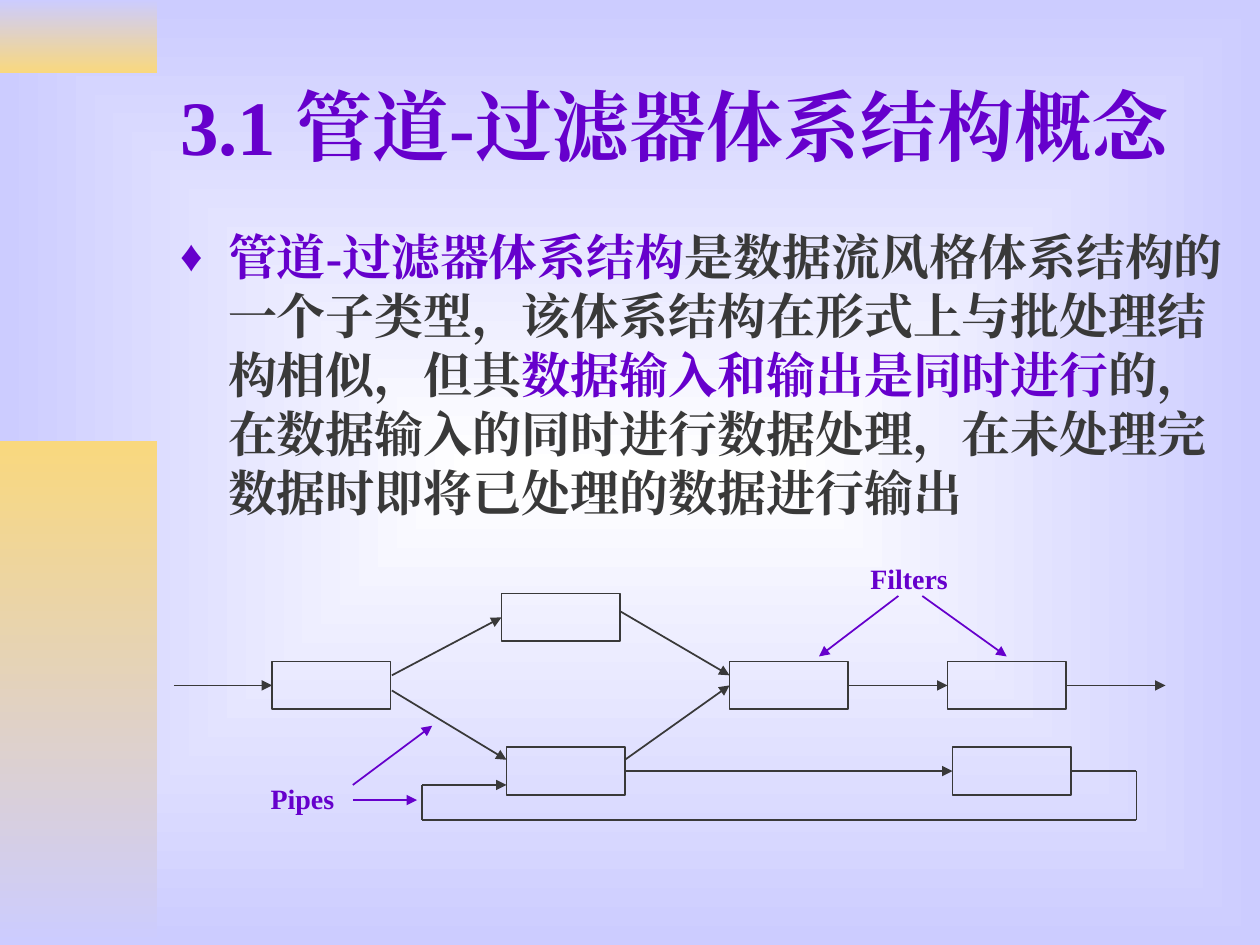
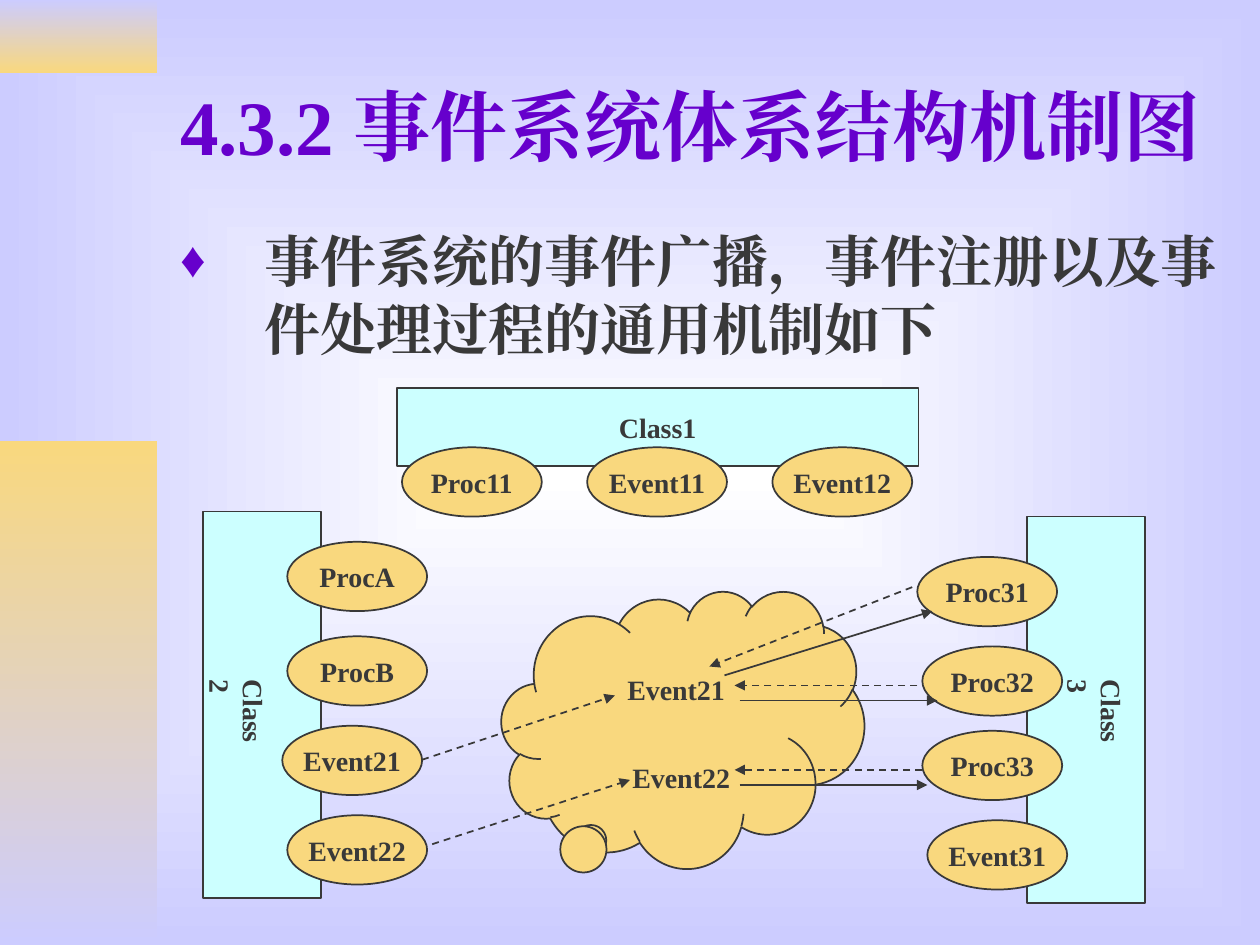
from pptx import Presentation
from pptx.dml.color import RGBColor
from pptx.enum.dml import MSO_LINE
from pptx.enum.lang import MSO_LANGUAGE_ID
from pptx.enum.shapes import MSO_CONNECTOR, MSO_SHAPE
from pptx.enum.text import MSO_ANCHOR, MSO_AUTO_SIZE, PP_ALIGN
from pptx.oxml import parse_xml
from pptx.oxml.ns import nsdecls, qn
from pptx.util import Inches, Pt

PURPLE = RGBColor(0x66, 0x00, 0xCC)
INK = RGBColor(0x39, 0x39, 0x39)
GOLD = RGBColor(0xF9, 0xD8, 0x7E)
LAVENDER = RGBColor(0xCC, 0xCC, 0xFF)
CYAN = RGBColor(0xCC, 0xFF, 0xFF)
WHITE = RGBColor(0xFF, 0xFF, 0xFF)

RECT, OVAL, CLOUD = MSO_SHAPE.RECTANGLE, MSO_SHAPE.OVAL, MSO_SHAPE.CLOUD_CALLOUT
STRAIGHT, DASH = MSO_CONNECTOR.STRAIGHT, MSO_LINE.DASH
LEFT, CENTER = PP_ALIGN.LEFT, PP_ALIGN.CENTER
TOP, MIDDLE = MSO_ANCHOR.TOP, MSO_ANCHOR.MIDDLE
FIXED, GROW = MSO_AUTO_SIZE.NONE, MSO_AUTO_SIZE.SHAPE_TO_FIT_TEXT
CHINESE = MSO_LANGUAGE_ID.SIMPLIFIED_CHINESE

FONT = "Times New Roman"
LABEL_SIZE = 16
LEFT_SITE, RIGHT_SITE = 1, 3
BOX_W, BOX_H = 0.94, 0.38
NODE_W, NODE_H = 1.11, 0.55
CLASS_W, CLASS_H = 0.94, 3.07


class Deck:
    """Holds the shared style and the current slide, and draws each kind of element."""

    def __init__(self):
        self.prs = Presentation()
        self.prs.slide_width, self.prs.slide_height = Inches(10), Inches(7.5)
        self.slide = None

    def gradient(self, fill, first, last):
        fill.gradient()
        for stop, color, position in zip(fill.gradient_stops, (first, last), (0, 1)):
            stop.color.rgb = color
            stop.position = position

    def dress_master(self):
        master = self.prs.slide_master
        self.gradient(master.background.fill, WHITE, LAVENDER)
        direction = next(master.element.iter(qn("a:lin")))
        direction.getparent().replace(direction, parse_xml(
            f'<a:path {nsdecls("a")} path="rect"><a:fillToRect l="50000" t="50000" '
            'r="50000" b="50000"/></a:path>'))
        for top, height, first, last in ((0, 0.58, LAVENDER, GOLD), (3.5, 4, GOLD, LAVENDER)):
            band = self.shape(RECT, 0, top, 1.25, height)
            self.gradient(band.fill, first, last)
            band.fill.gradient_angle = 270
            band.line.fill.background()
            master.shapes.element.insert(2, band.element)

    def new_slide(self):
        self.slide = self.prs.slides.add_slide(self.prs.slide_layouts[1])
        if len(self.prs.slides) == 1:
            self.dress_master()

    def add_text(self, paragraph, text, size, color):
        run = paragraph.add_run()
        run.text = text
        style = {"name": FONT, "size": Pt(size), "bold": True, "language_id": CHINESE}
        for attribute, value in style.items():
            setattr(run.font, attribute, value)
        run.font.color.rgb = color
        run.font._element.find(qn("a:latin")).addnext(
            parse_xml(f'<a:ea {nsdecls("a")} typeface="{FONT}"/>'))

    def frame(self, holder, **formats):
        for attribute, value in formats.items():
            setattr(holder.text_frame, attribute, value)
        return holder.text_frame.paragraphs[0]

    def place(self, holder, *box):
        for attribute, value in zip(("left", "top", "width", "height"), box):
            setattr(holder, attribute, Inches(value))

    def title(self, text):
        heading = self.slide.shapes.title
        self.place(heading, 1.33, 0.33, 8.5, 1.32)
        line = self.frame(heading, vertical_anchor=MIDDLE, word_wrap=True, auto_size=FIXED)
        line.alignment = LEFT
        self.add_text(line, text, 44, PURPLE)

    def bullet(self, height, indent, size, parts):
        body = self.slide.placeholders[1]
        self.place(body, 1.33, 1.75, 8.5, height)
        item = self.frame(body, vertical_anchor=TOP, word_wrap=True, auto_size=FIXED)
        item.space_before = Pt(0)
        properties = item._p.get_or_add_pPr()
        properties.set("marL", str(Inches(indent)))
        properties.set("indent", str(-Inches(indent)))
        for mark in (f'buClr {nsdecls("a")}><a:srgbClr val="{PURPLE}"/></a:buClr',
                     f'buSzPct {nsdecls("a")} val="90000"/',
                     f'buChar {nsdecls("a")} char="♦"/'):
            properties.append(parse_xml(f"<a:{mark}>"))
        for text, color in parts:
            self.add_text(item, text, size, color)

    def shape(self, kind, left, top, width, height, fill=None, text=""):
        figure = self.slide.shapes.add_shape(
            kind, Inches(left), Inches(top), Inches(width), Inches(height))
        figure.shadow.inherit = False
        if fill is None:
            figure.fill.background()
        else:
            figure.fill.solid()
            figure.fill.fore_color.rgb = fill
        figure.line.color.rgb = INK
        figure.line.width = Pt(1)
        if text:
            line = self.frame(figure, vertical_anchor=MIDDLE, word_wrap=False)
            line.alignment = CENTER
            self.add_text(line, text, LABEL_SIZE, INK)
        return figure

    def node(self, left, top, text):
        self.shape(OVAL, left, top, NODE_W, NODE_H, GOLD, text)

    def label(self, left, top, width, height, text, color=INK, vertical=False):
        box = self.slide.shapes.add_textbox(
            Inches(left), Inches(top), Inches(width), Inches(height))
        line = self.frame(box, word_wrap=True, auto_size=GROW)
        if vertical:
            self.frame(box, margin_left=Inches(0.05), margin_right=Inches(0.05),
                       margin_top=Inches(0.1), margin_bottom=Inches(0.1))
            box.text_frame._txBody.bodyPr.set("vert", "eaVert")
        self.add_text(line, text, LABEL_SIZE, color)

    def link(self, start, end, color=INK, dashed=False, arrow=True, leaves=None, enters=None):
        wire = self.slide.shapes.add_connector(STRAIGHT, *map(Inches, start + end))
        if leaves is not None:
            wire.begin_connect(leaves, RIGHT_SITE)
        if enters is not None:
            wire.end_connect(enters, LEFT_SITE)
        wire.line.color.rgb = color
        wire.line.width = Pt(1)
        if dashed:
            wire.line.dash_style = DASH
        if arrow:
            wire.line._get_or_add_ln().append(
                parse_xml(f'<a:tailEnd {nsdecls("a")} type="triangle"/>'))
        wire._element.spPr.append(parse_xml(f'<a:effectLst {nsdecls("a")}/>'))


def pipe_filter_slide(deck):
    deck.new_slide()
    deck.title("3.1 管道-过滤器体系结构概念")
    deck.bullet(2.55, 0.38, 28, (
        ("管道-过滤器体系结构", PURPLE),
        ("是数据流风格体系结构的一个子类型，该体系结构在形式上与批处理结构相似，但其", INK),
        ("数据输入和输出是同时进行", PURPLE),
        ("的，在数据输入的同时进行数据处理，在未处理完数据时即将已处理的数据进行输出", INK)))

    corners = ((2.16, 5.25), (3.98, 4.71), (4.02, 5.93), (5.79, 5.25), (7.52, 5.25), (7.56, 5.93))
    source, upper, lower, merge, sink, feedback = [
        deck.shape(RECT, left, top, BOX_W, BOX_H) for left, top in corners]

    for start, end, leaves, enters in (
            ((1.38, 5.44), (2.16, 5.44), None, source),
            ((6.73, 5.44), (7.52, 5.44), merge, sink),
            ((8.46, 5.44), (9.25, 5.44), sink, None),
            ((3.11, 5.36), (3.98, 4.9), None, upper),
            ((3.11, 5.48), (4.02, 6.03), None, None),
            ((4.92, 4.85), (5.79, 5.36), None, None),
            ((4.96, 6.03), (5.79, 5.44), None, merge),
            ((4.96, 6.12), (7.56, 6.12), lower, feedback)):
        deck.link(start, end, leaves=leaves, enters=enters)

    loop = ((8.5, 6.12), (9.02, 6.12), (9.02, 6.51), (3.35, 6.51), (3.35, 6.23), (4.02, 6.23))
    last = len(loop) - 2
    for step, (start, end) in enumerate(zip(loop, loop[1:])):
        deck.link(start, end, arrow=step == last, leaves=feedback if step == 0 else None)

    deck.label(6.81, 4.41, 1.14, 0.37, "Filters", PURPLE)
    deck.label(2.05, 6.15, 0.75, 0.37, "Pipes", PURPLE)
    for start, end in (((7.13, 4.73), (6.5, 5.21)), ((7.32, 4.73), (7.99, 5.21)),
                       ((2.8, 6.35), (3.31, 6.35)), ((2.8, 6.23), (3.43, 5.76))):
        deck.link(start, end, PURPLE)


def event_system_slide(deck):
    deck.new_slide()
    deck.title("4.3.2 事件系统体系结构机制图")
    deck.bullet(1.41, 0.67, 32, (
        ("事件系统的事件广播，事件注册以及事件处理过程的通用机制如下", INK),))

    deck.shape(RECT, 3.15, 3.08, 4.14, 0.62, CYAN, "Class1")
    for column, name in enumerate(("Proc11", "Event11", "Event12")):
        deck.node(3.19 + 1.47 * column, 3.55, name)

    classes = (
        (1.61, 4.06, 1.74, "Class2", ((2.28, 4.3, "ProcA"), (2.28, 5.05, "ProcB"),
                                      (2.24, 5.76, "Event21"), (2.28, 6.47, "Event22"))),
        (8.15, 4.1, 8.55, "Class3", ((7.28, 4.42, "Proc31"), (7.32, 5.13, "Proc32"),
                                     (7.36, 6.51, "Event31"), (7.32, 5.8, "Proc33"))))
    for left, top, name_left, name, members in classes:
        deck.shape(RECT, left, top, CLASS_W, CLASS_H, CYAN)
        deck.label(name_left, 5.29, 0.46, 0.79, name, vertical=True)
        for member in members:
            deck.node(*member)

    broadcast = deck.shape(CLOUD, 3.98, 4.69, 2.88, 2.2, GOLD)
    broadcast.adjustments[0], broadcast.adjustments[1] = -0.26, 0.41
    deck.label(4.88, 5.29, 0.98, 0.37, "Event21")
    deck.label(4.92, 5.99, 0.98, 0.37, "Event22")

    registrations = (((3.35, 6.03), (4.88, 5.52)), ((3.43, 6.7), (5, 6.19)),
                     ((7.24, 4.66), (5.63, 5.29)), ((7.28, 5.44), (5.83, 5.44)),
                     ((7.32, 6.11), (5.83, 6.11)))
    calls = (((5.75, 5.36), (7.4, 4.85)), ((5.87, 5.56), (7.44, 5.56)),
             ((5.87, 6.23), (7.36, 6.23)))
    for routes, dashed in ((registrations, True), (calls, False)):
        for start, end in routes:
            deck.link(start, end, dashed=dashed)


def main():
    deck = Deck()
    pipe_filter_slide(deck)
    event_system_slide(deck)
    deck.prs.save("out.pptx")


if __name__ == "__main__":
    main()
